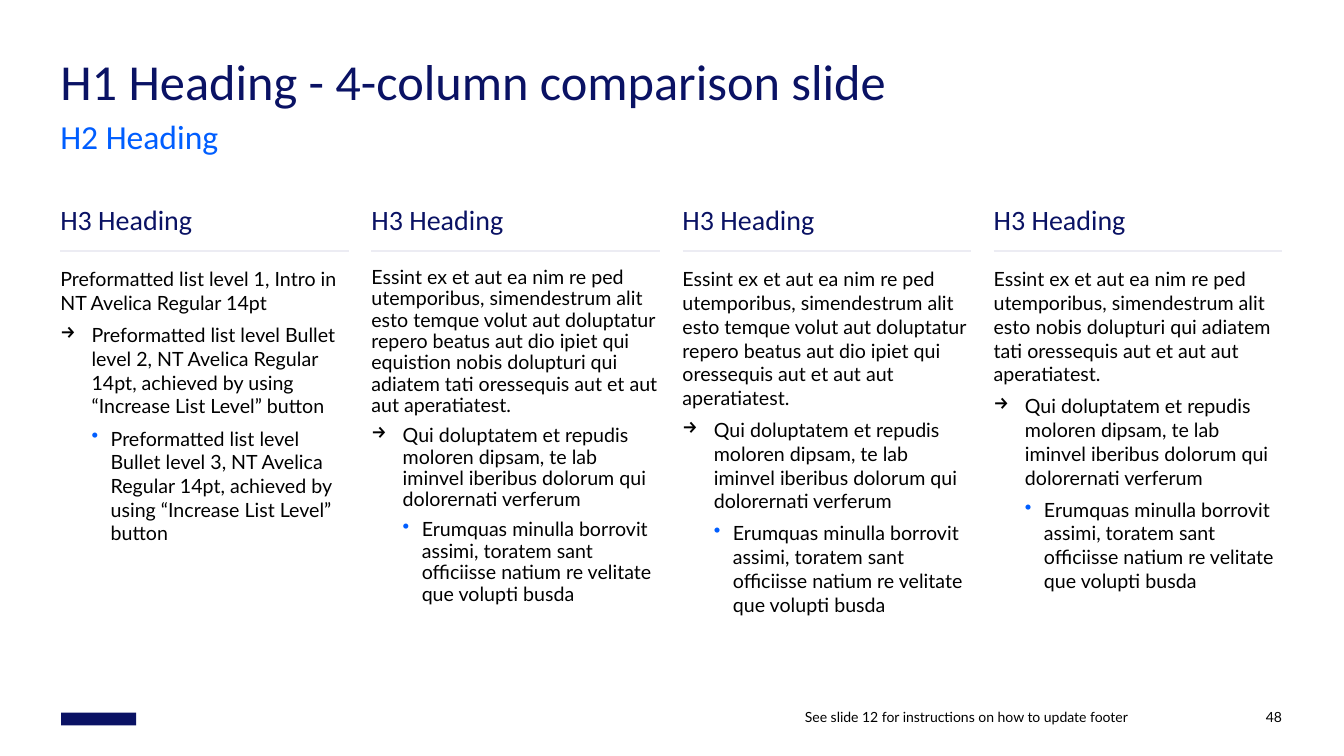
from lxml import etree
from pptx import Presentation
from pptx.dml.color import RGBColor
from pptx.enum import shapes, text
from pptx.oxml import ns
from pptx.util import Cm, Pt

COLORS = {"navy": "0A1264", "blue": "005EFF", "black": "000000", "rule": "ECECF3"}

TITLE = "H1 Heading - 4-column comparison slide"
SUBTITLE = "H2 Heading"
FOOTER = "See slide 12 for instructions on how to update footer"
PAGE = "48"

QUI = "Qui doluptatem et repudis moloren dipsam, te lab iminvel iberibus dolorum qui dolorernati verferum"
ERUMQUAS = "Erumquas minulla borrovit assimi, toratem sant officiisse natium re velitate que volupti busda"
ESSINT = "Essint ex et aut ea nim re ped utemporibus, simendestrum alit esto "
TEMQUE = ESSINT + "temque volut aut doluptatur repero beatus aut dio ipiet qui "
COLUMNS = [
    ("H3 Heading", 1.01, [
        "Preformatted list level 1, Intro in NT Avelica Regular 14pt",
        "Preformatted list level Bullet level 2, NT Avelica Regular 14pt, "
        "achieved by using “Increase List Level” button",
        "Preformatted list level Bullet level 3, NT Avelica Regular 14pt, "
        "achieved by using “Increase List Level” button"]),
    ("H3 Heading", 0.91, [
        TEMQUE + "equistion nobis dolupturi qui adiatem tati oressequis aut et aut aut aperatiatest.",
        QUI, ERUMQUAS]),
    ("H3 Heading", 1.01, [TEMQUE + "oressequis aut et aut aut aperatiatest.", QUI, ERUMQUAS]),
    ("H3 Heading", 1.01, [
        ESSINT + "nobis dolupturi qui adiatem tati oressequis aut et aut aut aperatiatest.",
        QUI, ERUMQUAS]),
]

BULLETS = {1: ("→", "black", 0.79, 0.79), 2: ("•", "blue", 1.27, 0.48)}

STYLES = {
    "h1": {"font": ("Calibri", 36, "navy"), "paragraph": {"line_spacing": Pt(36)}},
    "h2": {"font": ("Calibri", 24, "blue"), "paragraph": {"line_spacing": 0.8}},
    "h3": {"font": ("Calibri", 20, "navy"), "paragraph": {"line_spacing": 1.01},
           "frame": {"vertical_anchor": text.MSO_ANCHOR.BOTTOM}},
    "list": {"font": ("Lato", 14, "black"), "paragraph": {"space_after": Pt(6)}},
    "footer": {"font": ("Lato", 10, "black"), "paragraph": {"alignment": text.PP_ALIGN.RIGHT},
               "frame": {"vertical_anchor": text.MSO_ANCHOR.BOTTOM}},
}
FRAME = {"word_wrap": True, "margin_left": 0, "margin_top": 0, "margin_right": 0,
         "margin_bottom": 0, "vertical_anchor": text.MSO_ANCHOR.TOP}

LEFT, FULL_WIDTH = 1.52, 30.81
COLUMN_STEP, COLUMN_WIDTH = 7.84, 7.28
HEADING_TOP, RULE_TOP, LIST_TOP = 5.13, 6.32, 6.73
FOOTER_TOP, FOOTER_HEIGHT = 17.53, 0.76


def apply(target, values):
    for name, value in values.items():
        setattr(target, name, value)


def add_bullet(paragraph, level):
    mark, color, margin, hanging = BULLETS[level]
    paragraph.level = level
    properties = paragraph._p.get_or_add_pPr()
    properties.set("marL", str(Cm(margin)))
    properties.set("indent", str(-Cm(hanging)))
    bullet_color = etree.SubElement(properties, ns.qn("a:buClr"))
    etree.SubElement(bullet_color, ns.qn("a:srgbClr"), val=COLORS[color])
    etree.SubElement(properties, ns.qn("a:buChar"), char=mark)


def add_text(slide, style, lines, left, top, width, height, **spacing):
    look = STYLES[style]
    family, size, color = look["font"]
    frame = slide.shapes.add_textbox(Cm(left), Cm(top), Cm(width), Cm(height)).text_frame
    apply(frame, {**FRAME, **look.get("frame", {})})
    for level, line in enumerate(lines):
        paragraph = frame.add_paragraph() if level else frame.paragraphs[0]
        if level:
            add_bullet(paragraph, level)
        apply(paragraph, {**look["paragraph"], **spacing})
        run = paragraph.add_run()
        run.text = line
        apply(run.font, {"name": family, "size": Pt(size)})
        run.font.color.rgb = RGBColor.from_string(COLORS[color])


def add_rule(slide, left):
    rule = slide.shapes.add_connector(
        shapes.MSO_CONNECTOR.STRAIGHT, Cm(left), Cm(RULE_TOP), Cm(left + COLUMN_WIDTH), Cm(RULE_TOP))
    rule.line.width = Pt(1)
    rule.line.color.rgb = RGBColor.from_string(COLORS["rule"])
    etree.SubElement(rule._element.spPr, ns.qn("a:effectLst"))


def add_emblem(slide):
    emblem = slide.shapes.add_shape(
        shapes.MSO_SHAPE.RECTANGLE, Cm(1.54), Cm(17.96), Cm(1.89), Cm(0.32))
    emblem.shadow.inherit = False
    emblem.fill.solid()
    emblem.fill.fore_color.rgb = RGBColor.from_string(COLORS["navy"])
    emblem.line.fill.background()


def main():
    deck = Presentation()
    apply(deck, {"slide_width": Cm(33.87), "slide_height": Cm(19.05)})
    slide = deck.slides.add_slide(deck.slide_layouts[6])
    add_emblem(slide)
    add_text(slide, "footer", [FOOTER], 13.28, FOOTER_TOP, 15.14, FOOTER_HEIGHT)
    add_text(slide, "footer", [PAGE], 28.96, FOOTER_TOP, 3.35, FOOTER_HEIGHT)
    add_text(slide, "h1", [TITLE], LEFT, 1.52, FULL_WIDTH, 1.22)
    add_text(slide, "h2", [SUBTITLE], LEFT, 3.12, FULL_WIDTH, 0.81)
    for index, (heading, line_spacing, items) in enumerate(COLUMNS):
        left = LEFT + index * COLUMN_STEP
        add_text(slide, "h3", [heading], left, HEADING_TOP, COLUMN_WIDTH, 0.81)
        add_rule(slide, left)
        add_text(slide, "list", items, left, LIST_TOP, COLUMN_WIDTH, 9.55, line_spacing=line_spacing)
    deck.save("out.pptx")


if __name__ == "__main__":
    main()
